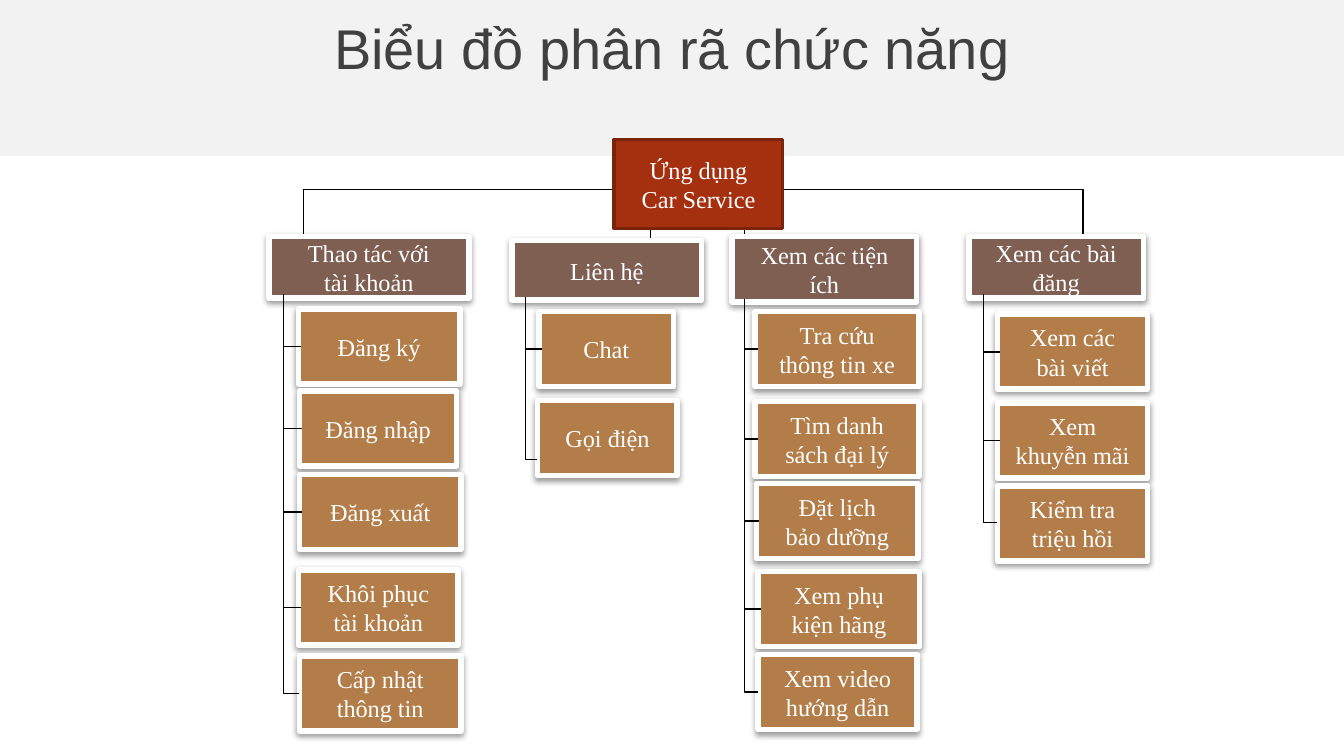
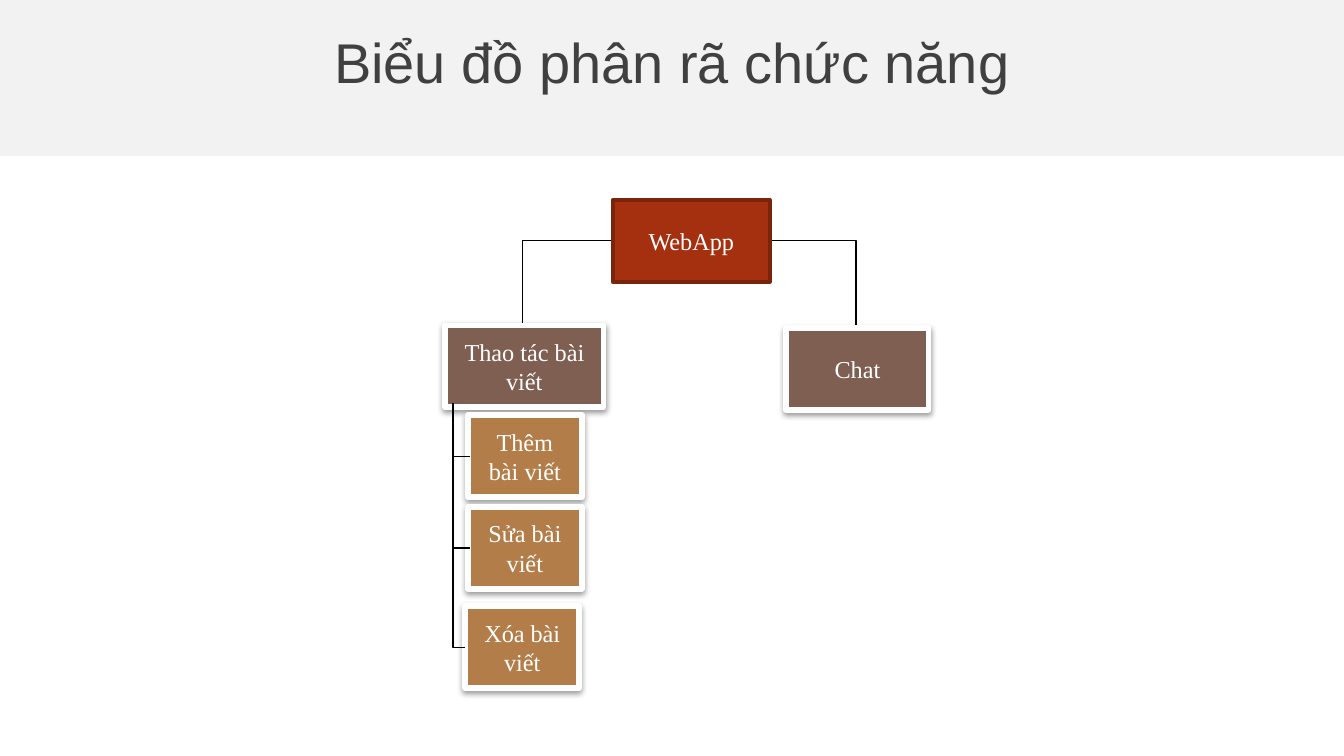
"""Build two slides with the functional decomposition trees of an app and a web app."""
from copy import deepcopy

from lxml import etree
from pptx import Presentation
from pptx.dml.color import RGBColor
from pptx.enum.shapes import MSO_CONNECTOR, MSO_SHAPE
from pptx.enum.text import MSO_ANCHOR, PP_ALIGN
from pptx.oxml import parse_xml
from pptx.oxml.ns import nsdecls, qn
from pptx.util import Cm, Pt

RECTANGLE = MSO_SHAPE.RECTANGLE
ELBOW = MSO_CONNECTOR.ELBOW
STRAIGHT = MSO_CONNECTOR.STRAIGHT
CENTER = PP_ALIGN.CENTER
MIDDLE = MSO_ANCHOR.MIDDLE

COLORS = {
    "band": "F2F2F2",
    "title": "404040",
    "line": "000000",
    "white": "FFFFFF",
    "root": "A5300F",
    "root_border": "7A240B",
    "group": "7F5F52",
    "leaf": "B27D49",
}
SLIDE_WIDTH = 25.4
TITLE = "Biểu đồ phân rã chức năng"
SHADOW = (
    f'<a:effectLst {nsdecls("a")}><a:outerShdw blurRad="40000" dist="20000" dir="5400000" '
    'rotWithShape="0"><a:srgbClr val="000000"><a:alpha val="38000"/></a:srgbClr>'
    "</a:outerShdw></a:effectLst>"
)

TREES = [
    {
        "title_height": 1.07,
        "root": ("Ứng dụng\vCar Service", 11.61, 2.64, 3.18, 1.68),
        "leaf_height": 1.42,
        "links": [
            (ELBOW, (11.71, 3.58), (5.74, 4.75)),
            (ELBOW, (14.76, 3.58), (20.47, 4.75)),
            (STRAIGHT, (12.29, 3.89), (12.29, 4.8)),
            (STRAIGHT, (14.07, 3.89), (14.07, 4.75)),
        ],
        "groups": [
            {
                "box": ("Thao tác với\vtài khoản", 5.08, 4.47, 3.78, 1.17),
                "trunk": (5.36, 5.56, 13.11),
                "leaves": [
                    ("Đăng ký", 5.64, 5.84, 3.05),
                    ("Đăng nhập", 5.66, 7.39, 2.97),
                    ("Đăng xuất", 5.66, 8.97, 3.05),
                    ("Khôi phục\vtài khoản", 5.64, 10.77, 3.02),
                    ("Cấp nhật\vthông tin", 5.66, 12.4, 3.05),
                ],
            },
            {
                "box": ("Liên hệ", 9.68, 4.55, 3.58, 1.12),
                "trunk": (9.93, 5.61, 8.69),
                "leaves": [
                    ("Chat", 10.19, 5.89, 2.54),
                    ("Gọi điện", 10.16, 7.57, 2.64),
                ],
            },
            {
                "box": ("Xem các tiện\vích", 13.84, 4.47, 3.48, 1.24),
                "trunk": (14.07, 5.66, 13.08),
                "leaves": [
                    ("Tra cứu\vthông tin xe", 14.27, 5.89, 3.1),
                    ("Tìm danh\vsách đại lý", 14.27, 7.59, 3.1),
                    ("Đặt lịch\vbảo dưỡng", 14.3, 9.14, 3.05),
                    ("Xem phụ\vkiện hãng", 14.33, 10.8, 3.05),
                    ("Xem video\vhướng dẫn", 14.33, 12.37, 3),
                ],
            },
            {
                "box": ("Xem các bài\vđăng", 18.31, 4.47, 3.3, 1.17),
                "trunk": (18.59, 5.56, 9.88),
                "leaves": [
                    ("Xem các\vbài viết", 18.85, 5.94, 2.84),
                    ("Xem\vkhuyễn mãi", 18.85, 7.62, 2.84),
                    ("Kiểm tra\vtriệu hồi", 18.85, 9.19, 2.84),
                ],
            },
        ],
    },
    {
        "title_height": 1.6,
        "root": ("WebApp", 11.58, 3.78, 2.97, 1.55),
        "leaf_height": 1.55,
        "links": [
            (ELBOW, (11.58, 4.55), (9.88, 6.43)),
            (ELBOW, (14.58, 4.55), (16.18, 6.32)),
        ],
        "groups": [
            {
                "box": ("Thao tác bài\vviết", 8.41, 6.15, 3, 1.55),
                "trunk": (8.56, 7.62, 12.24),
                "leaves": [
                    ("Thêm\vbài viết", 8.84, 7.85, 2.16),
                    ("Sửa bài\vviết", 8.84, 9.58, 2.16),
                    ("Xóa bài\vviết", 8.79, 11.46, 2.16),
                ],
            },
            {"box": ("Chat", 14.86, 6.2, 2.69, 1.55), "leaves": []},
        ],
    },
]


def write_text(shape, text, size=13, font="Times New Roman", color="white", space=6):
    """Fill a shape with centred text in one format."""
    frame = shape.text_frame
    frame.word_wrap = True
    frame.vertical_anchor = MIDDLE
    paragraph = frame.paragraphs[0]
    paragraph.text = text
    paragraph.alignment = CENTER
    paragraph.space_before = paragraph.space_after = Pt(space)
    for run in paragraph.runs:
        run.font.size = Pt(size)
        run.font.name = font
        run.font.color.rgb = RGBColor.from_string(COLORS[color])
    for line_break in paragraph._p.findall(qn("a:br")):
        line_break.append(deepcopy(paragraph.runs[0]._r.rPr))


def add_line(slide, kind, start, end):
    """Draw a thin line; an elbow runs across first and turns at its far end."""
    points = [Cm(value) for value in (*start, *end)]
    connector = slide.shapes.add_connector(kind, *points)
    connector.line.width = Pt(0.75)
    connector.line.color.rgb = RGBColor.from_string(COLORS["line"])
    properties = connector._element.spPr
    etree.SubElement(properties, qn("a:effectLst"))
    if kind == ELBOW:
        geometry = properties.find(qn("a:prstGeom"))
        adjustments = geometry.find(qn("a:avLst"))
        if adjustments is None:
            adjustments = etree.SubElement(geometry, qn("a:avLst"))
        etree.SubElement(adjustments, qn("a:gd"), name="adj1", fmla="val 100000")


presentation = Presentation()
presentation.slide_width = Cm(SLIDE_WIDTH)
presentation.slide_height = Cm(14.29)

for tree in TREES:
    slide = presentation.slides.add_slide(presentation.slide_layouts[6])
    band = slide.shapes.add_shape(RECTANGLE, 0, 0, Cm(SLIDE_WIDTH), Cm(2.95))
    band.shadow.inherit = False
    band.fill.solid()
    band.fill.fore_color.rgb = RGBColor.from_string(COLORS["band"])
    band.line.fill.background()
    title = slide.shapes.add_textbox(0, Cm(0.36), Cm(SLIDE_WIDTH), Cm(tree["title_height"]))
    write_text(title, TITLE, size=30, font="Arial", color="title", space=0)

    for kind, start, end in tree["links"]:
        add_line(slide, kind, start, end)

    leaf_height = tree["leaf_height"]
    boxes = []
    for group in tree["groups"]:
        boxes.append((*group["box"], "group", "white", 3))
        for leaf in group["leaves"]:
            boxes.append((*leaf, leaf_height, "leaf", "white", 3))
    boxes.append((*tree["root"], "root", "root_border", 2))

    for text, left, top, width, height, fill, border, border_width in boxes:
        box = slide.shapes.add_shape(RECTANGLE, Cm(left), Cm(top), Cm(width), Cm(height))
        box.shadow.inherit = False
        box.fill.solid()
        box.fill.fore_color.rgb = RGBColor.from_string(COLORS[fill])
        box.line.color.rgb = RGBColor.from_string(COLORS[border])
        box.line.width = Pt(border_width)
        if fill != "root":
            properties = box._element.spPr
            properties.replace(properties.find(qn("a:effectLst")), parse_xml(SHADOW))
        write_text(box, text)

    for group in tree["groups"]:
        if not group["leaves"]:
            continue
        trunk_x, trunk_top, trunk_bottom = group["trunk"]
        last_left = group["leaves"][-1][1]
        add_line(slide, ELBOW, (last_left, trunk_bottom), (trunk_x, trunk_top))
        for text, left, top, width in group["leaves"][:-1]:
            middle = top + leaf_height / 2
            add_line(slide, STRAIGHT, (trunk_x, middle), (left + 0.05, middle))

presentation.save("out.pptx")
